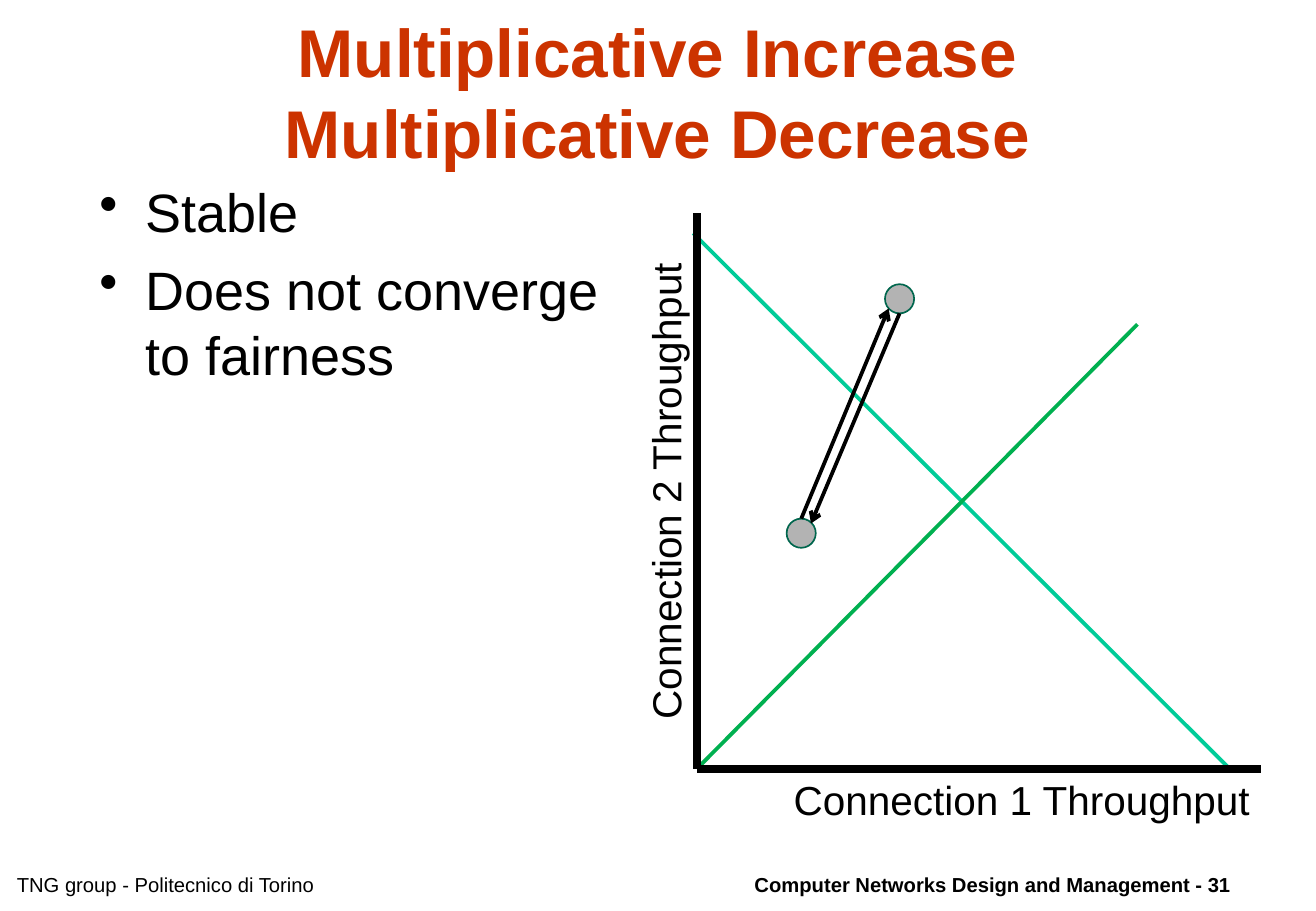
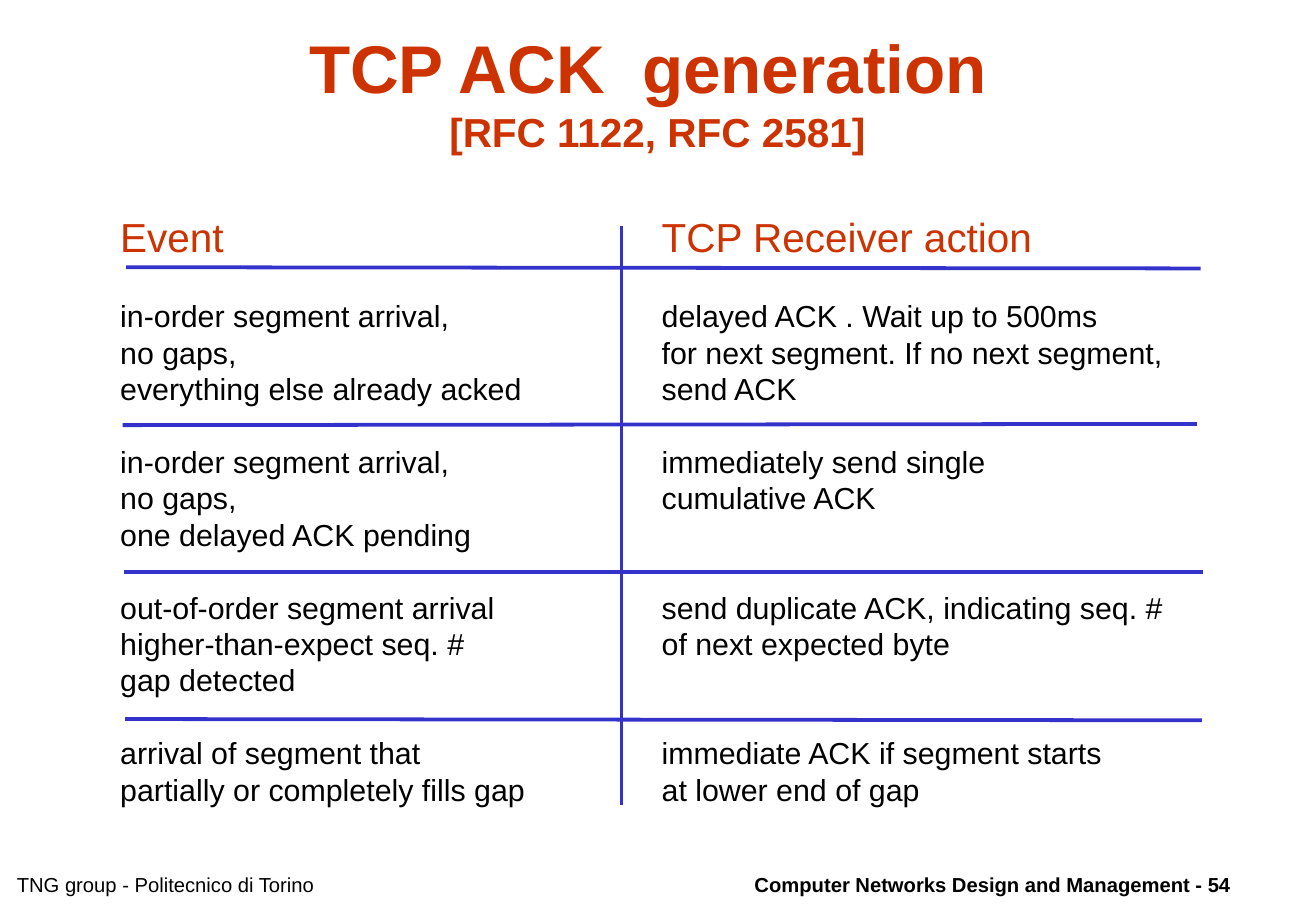
from collections import namedtuple

from lxml import etree
from pptx import Presentation
from pptx import util as u
from pptx.dml.color import RGBColor
from pptx.enum import shapes, text
from pptx.oxml import ns

Box = namedtuple("Box", "left top width height")

FONT = "Arial"
BLACK = RGBColor(0x00, 0x00, 0x00)
RED = RGBColor(0xCC, 0x33, 0x00)
BLUE = RGBColor(0x33, 0x33, 0xCC)
TEAL = RGBColor(0x00, 0xCC, 0x99)
GREEN = RGBColor(0x00, 0xB0, 0x50)
DARK_GREEN = RGBColor(0x00, 0x66, 0x4D)
GREY = RGBColor(0xB3, 0xB3, 0xB3)
LEADING = 1.2

TITLE_BOX = Box(0.81, 0.25, 9.21, 1)
GROUP_BOX = Box(0.04, 7.13, 4.47, 0.3)
COURSE_BOX = Box(5.77, 7.13, 4.47, 0.3)

EVENT_ROWS = [
    ("Event", "TCP Receiver action"),
    ("in-order segment arrival,\nno gaps,\neverything else already acked",
     "delayed ACK . Wait up to 500ms\nfor next segment. If no next segment,\nsend ACK"),
    ("in-order segment arrival,\nno gaps,\none delayed ACK pending",
     "immediately send single\ncumulative ACK"),
    ("out-of-order segment arrival\nhigher-than-expect seq. #\ngap detected",
     "send duplicate ACK, indicating seq. #\nof next expected byte"),
    ("arrival of segment that\npartially or completely fills gap",
     "immediate ACK if segment starts\nat lower end of gap"),
]
ROW_HEIGHTS = [0.45, 1.3, 1.2, 1.2, 0.75]
ROW_MARGINS = [0, 0.25, 0.15, 0.15, 0.15]
EVENT_WIDTH = 4.13
RULE_ENDS = [
    ((0.05, 0.45), (8.9, 0.46)),
    ((0.02, 1.75), (8.87, 1.74)),
    ((0.03, 2.96), (8.92, 2.96)),
    ((0.04, 4.17), (8.91, 4.18)),
    ((EVENT_WIDTH, 0.11), (EVENT_WIDTH, 4.88)),
]


def inches(*lengths):
    """Convert numbers to slide lengths."""
    return [u.Inches(length) for length in lengths]


def style(para, size, color=BLACK, bold=False, align=text.PP_ALIGN.LEFT):
    """Format a paragraph and its runs."""
    para.alignment = align
    para.line_spacing = u.Pt(size * LEADING)
    for span in para.runs:
        span.font.name = FONT
        span.font.size = u.Pt(size)
        span.font.bold = bold
        span.font.color.rgb = color


def add_text(page, box, words, size, wrap=True, **look):
    """Add a text box with one look throughout."""
    shape = page.shapes.add_textbox(*inches(*box))
    frame = shape.text_frame
    frame.word_wrap = wrap
    frame.text = words
    for para in frame.paragraphs:
        style(para, size, **look)
    return shape


def add_line(page, start, end, color, width, arrow=False):
    """Draw a straight line, optionally with an arrowhead at its end."""
    line = page.shapes.add_connector(
        shapes.MSO_CONNECTOR.STRAIGHT, *inches(*start, *end))
    line.line.color.rgb = color
    line.line.width = u.Pt(width)
    if arrow:
        etree.SubElement(line.line._get_or_add_ln(), ns.qn("a:tailEnd"), type="arrow")
    etree.SubElement(line._element.spPr, ns.qn("a:effectLst"))


def add_page(deck, title, number, subtitle_size=40):
    """Add a page with its two-line title and footers."""
    page = deck.slides.add_slide(deck.slide_layouts[6])
    add_text(page, COURSE_BOX, f"Computer Networks Design and Management - {number}",
             12, bold=True, align=text.PP_ALIGN.RIGHT)
    add_text(page, GROUP_BOX, "TNG group - Politecnico di Torino", 12)
    heading = {"color": RED, "bold": True, "align": text.PP_ALIGN.CENTER}
    frame = add_text(page, TITLE_BOX, title, 40, **heading).text_frame
    frame.vertical_anchor = text.MSO_ANCHOR.MIDDLE
    style(frame.paragraphs[1], subtitle_size, **heading)
    return page


def add_bullets(page, box, items):
    """Add a bulleted list."""
    frame = add_text(page, box, "\n".join(items), 32).text_frame
    for index, para in enumerate(frame.paragraphs):
        props = para._p.get_or_add_pPr()
        props.set("marL", str(u.Inches(0.38)))
        props.set("indent", str(u.Inches(-0.38)))
        etree.SubElement(props, ns.qn("a:buChar"), char="•")
        if index:
            para.space_before = u.Pt(8)


def add_dot(page, left, top):
    """Draw one operating point."""
    dot = page.shapes.add_shape(shapes.MSO_SHAPE.OVAL, *inches(left, top, 0.24, 0.24))
    dot.shadow.inherit = False
    dot.fill.solid()
    dot.fill.fore_color.rgb = GREY
    dot.line.color.rgb = DARK_GREEN
    dot.line.width = u.Pt(1)


def add_throughput_plot(page, box):
    """Draw the throughput plane with its axes, lines and operating points."""
    left, top, width, height = box
    bottom = top + height
    label_width, label_height = 3.96, 0.5
    add_text(page, Box(left + 0.7, bottom, label_width, label_height),
             "Connection 1 Throughput", 24, wrap=False)
    vertical = add_text(page, Box(left - 2.24, top + 2.04, label_width, label_height),
                        "Connection 2 Throughput", 24, wrap=False)
    vertical.rotation = 270
    origin = (left, bottom)
    add_line(page, (left - 0.03, top + 0.17), (left + 4.39, bottom), TEAL, 2.25)
    add_line(page, origin, (left + 3.63, top + 0.92), GREEN, 2.25)
    add_line(page, origin, (left + width, bottom), BLACK, 4.5)
    add_line(page, origin, (left, top), BLACK, 4.5)
    high, low = (left + 1.55, top + 0.59), (left + 0.74, top + 2.52)
    for dot in (high, low):
        add_dot(page, *dot)
    add_line(page, (high[0] + 0.12, high[1] + 0.24), (low[0] + 0.2, low[1] + 0.04),
             BLACK, 2.25, arrow=True)
    add_line(page, (low[0] + 0.12, low[1]), (high[0] + 0.03, high[1] + 0.2),
             BLACK, 2.25, arrow=True)


def clear_borders(cell):
    """Remove the borders of a cell."""
    props = cell._tc.get_or_add_tcPr()
    for side in "LRTB":
        border = etree.SubElement(props, ns.qn(f"a:ln{side}"))
        etree.SubElement(border, ns.qn("a:noFill"))


def add_event_table(page, box):
    """Add the table of events and receiver actions with its rules."""
    table = page.shapes.add_table(len(EVENT_ROWS), 2, *inches(*box)).table
    table.first_row = table.horz_banding = False
    for column, width in zip(table.columns, (EVENT_WIDTH, box.width - EVENT_WIDTH)):
        column.width = u.Inches(width)
    for row, words in enumerate(EVENT_ROWS):
        table.rows[row].height = u.Inches(ROW_HEIGHTS[row])
        size, color = (18, BLACK) if row else (24, RED)
        for column, content in enumerate(words):
            cell = table.cell(row, column)
            cell.margin_left = u.Inches(0.33 * column)
            cell.margin_top = u.Inches(ROW_MARGINS[row])
            cell.margin_right = cell.margin_bottom = 0
            clear_borders(cell)
            cell.fill.background()
            cell.text_frame.text = content
            for para in cell.text_frame.paragraphs:
                style(para, size, color)
    for ends in RULE_ENDS:
        start, end = [(box.left + x, box.top + y) for x, y in ends]
        add_line(page, start, end, BLUE, 2.25)


def main():
    """Build and save the deck."""
    deck = Presentation()
    deck.slide_width, deck.slide_height = inches(10.84, 7.5)
    page = add_page(deck, "Multiplicative Increase\nMultiplicative Decrease", 31)
    add_bullets(page, Box(0.72, 1.42, 4.66, 5.17),
                ["Stable", "Does not converge to fairness"])
    add_throughput_plot(page, Box(5.74, 1.75, 4.65, 4.58))
    page = add_page(deck, "TCP ACK  generation \n[RFC 1122, RFC 2581]", 54, subtitle_size=24)
    add_event_table(page, Box(0.99, 1.75, 8.9, sum(ROW_HEIGHTS)))
    deck.save("out.pptx")


if __name__ == "__main__":
    main()
